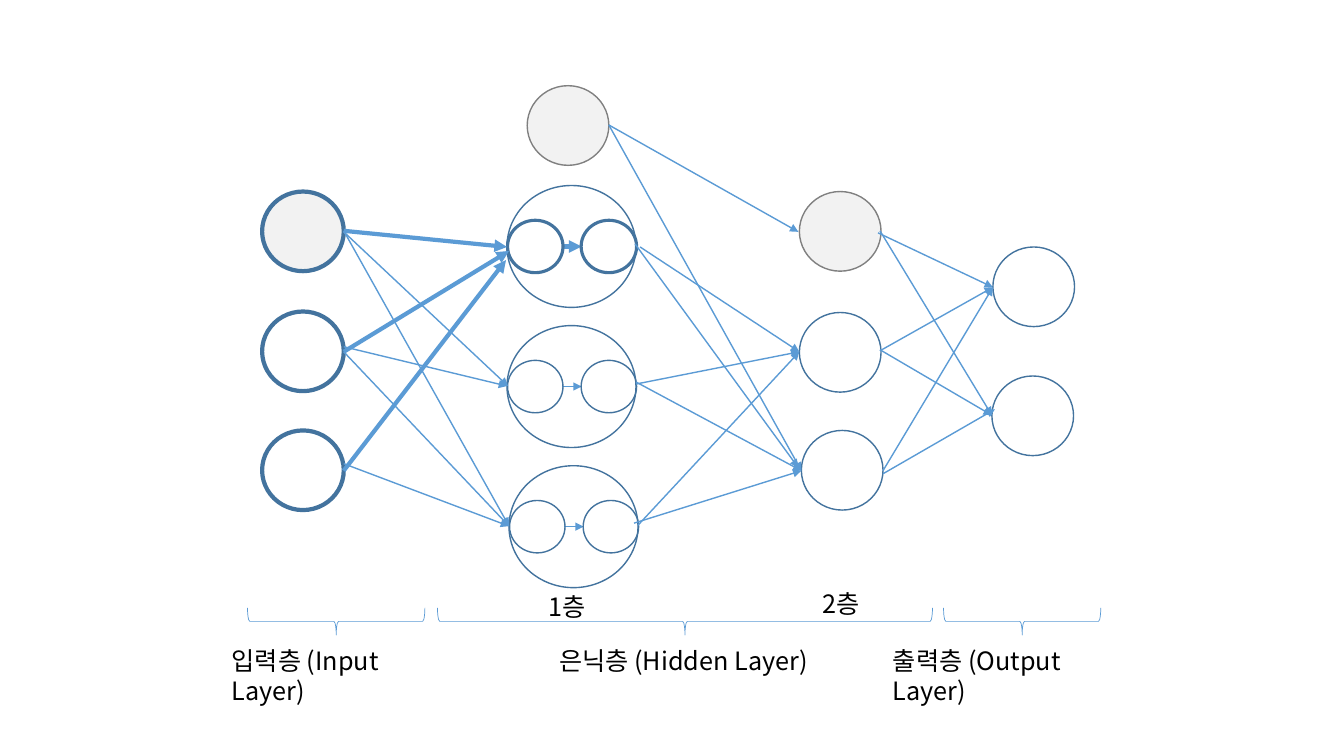
from lxml.etree import SubElement
from pptx import Presentation
from pptx.dml.color import RGBColor
from pptx.enum.shapes import MSO_CONNECTOR, MSO_SHAPE
from pptx.enum.text import MSO_AUTO_SIZE
from pptx.oxml.ns import qn
from pptx.util import Inches, Pt

ARROW = RGBColor(0x5B, 0x9B, 0xD5)
OUTLINE = RGBColor(0x43, 0x73, 0x9E)
GRAY = RGBColor(0x80, 0x80, 0x80)
BIAS = RGBColor(0xF2, 0xF2, 0xF2)
WHITE = RGBColor(0xFF, 0xFF, 0xFF)
BLACK = RGBColor(0x00, 0x00, 0x00)

COLUMNS, ROWS = 133.33, 75
BOLD = 3


class NetworkSlide:
    font = "Noto Sans CJK KR"
    size = Pt(18)
    node_size = (8.1, 7.9)
    unit_size = (12.8, 12.1)
    step_size = (5.5, 5.2)
    brace_depth = 2.7

    def __init__(self, prs):
        self.column = prs.slide_width / COLUMNS
        self.row = prs.slide_height / ROWS
        self.s = prs.slides.add_slide(prs.slide_layouts[6])

    def cells(self, x, y):
        return round(x * self.column), round(y * self.row)

    def shape(self, kind, x, y, size, fill, color, weight):
        sp = self.s.shapes.add_shape(kind, *self.cells(x, y), *self.cells(*size))
        sp.shadow.inherit = False
        if fill is None:
            sp.fill.background()
        else:
            sp.fill.solid()
            sp.fill.fore_color.rgb = fill
        sp.line.color.rgb = color
        sp.line.width = Pt(weight)
        return sp

    def node(self, x, y, fill=WHITE, color=OUTLINE, weight=1):
        self.shape(MSO_SHAPE.OVAL, x, y, self.node_size, fill, color, weight)

    def unit(self, x, y, step_weight=1, link_weight=1):
        self.shape(MSO_SHAPE.OVAL, x, y, self.unit_size, WHITE, OUTLINE, 1)
        middle = y + self.unit_size[1] / 2
        self.arrow(x + 5.5, middle, x + 7.4, middle, link_weight)
        for offset in (0.05, 7.35):
            self.shape(MSO_SHAPE.OVAL, x + offset, middle - self.step_size[1] / 2,
                       self.step_size, None, OUTLINE, step_weight)

    def arrow(self, x1, y1, x2, y2, weight=1):
        c = self.s.shapes.add_connector(
            MSO_CONNECTOR.STRAIGHT, *self.cells(x1, y1), *self.cells(x2, y2))
        c.line.color.rgb = ARROW
        c.line.width = Pt(weight)
        spPr = c._element.spPr
        SubElement(spPr.find(qn("a:ln")), qn("a:tailEnd"), type="triangle")
        SubElement(spPr, qn("a:effectLst"))

    def brace(self, left, top, span):
        x = left + (span - self.brace_depth) / 2
        y = top + (self.brace_depth - span) / 2
        sp = self.shape(MSO_SHAPE.RIGHT_BRACE, x, y, (self.brace_depth, span),
                        None, ARROW, 0.5)
        sp.rotation = 90

    def label(self, text, x, y, width, wrap=True):
        tb = self.s.shapes.add_textbox(*self.cells(x, y), *self.cells(width, 4))
        tf = tb.text_frame
        tf.word_wrap = wrap
        tf.auto_size = MSO_AUTO_SIZE.SHAPE_TO_FIT_TEXT
        p = tf.paragraphs[0]
        r = p.add_run()
        r.text = text
        p.font.size = self.size
        p.font.name = self.font
        p.font.color.rgb = BLACK
        SubElement(p._p.pPr.find(qn("a:defRPr")), qn("a:ea"), typeface=self.font)


def main():
    prs = Presentation()
    prs.slide_width, prs.slide_height = Inches(13.33), Inches(7.5)
    net = NetworkSlide(prs)

    net.unit(50.3, 18.4, step_weight=2.25, link_weight=BOLD)
    net.unit(50.3, 32.3)
    net.unit(50.5, 46.2)

    for y, fill in ((19, BIAS), (30.9, WHITE), (42.7, WHITE)):
        net.node(26, y, fill, weight=BOLD)
    for x, y in ((52.3, 8.5), (79.3, 19)):
        net.node(x, y, BIAS, GRAY)
    for x, y in ((79.3, 31), (79.5, 42.7), (98.5, 24.5), (98.4, 37.3)):
        net.node(x, y)

    input_to_first = (
        (34.1, 22.9, 50.3, 24.5, BOLD), (34.1, 34.9, 50.5, 24.9, BOLD),
        (34.1, 46.7, 50.2, 25.8, BOLD), (34.1, 23, 50.4, 38.3),
        (34.1, 22.9, 50.5, 52.2), (34.1, 34.4, 50.3, 38.3),
        (34.1, 34.9, 50.5, 52.2), (34.1, 46, 50.5, 52.2),
    )
    first_to_second = (
        (60.4, 12.4, 79.2, 23), (60.4, 12.4, 79.5, 46.7),
        (63.5, 24.5, 79.3, 34.9), (63, 24.2, 79.2, 46.4),
        (63.1, 38.1, 79.3, 34.9), (63.1, 37.9, 79.5, 46.7),
        (63.3, 52.1, 79.3, 34.9), (62.9, 51.9, 79.5, 46.7),
    )
    second_to_output = (
        (87.1, 23.1, 98.5, 28.5), (87.3, 22.9, 98.4, 41.2),
        (87.3, 34.8, 98.5, 28.5), (87.3, 34.7, 98.4, 41.2),
        (87.6, 46.7, 98.5, 28.5), (87.6, 47, 98.7, 40.6),
    )
    for edge in input_to_first + first_to_second + second_to_output:
        net.arrow(*edge)

    for text, x, width in (("입력층 (Input Layer)", 22, 24.2),
                           ("은닉층 (Hidden Layer)", 54.5, 26.7),
                           ("출력층 (Output Layer)", 87.6, 26.4)):
        net.label(text, x, 63.5, width)
    for text, x, y in (("1층", 53.4, 58.2), ("2층", 80.6, 57.9)):
        net.label(text, x, y, 6.3, wrap=False)

    for left, span in ((24.55, 17.6), (43.4, 49.1), (93.6, 15.6)):
        net.brace(left, 60.3, span)

    prs.save("out.pptx")


if __name__ == "__main__":
    main()
